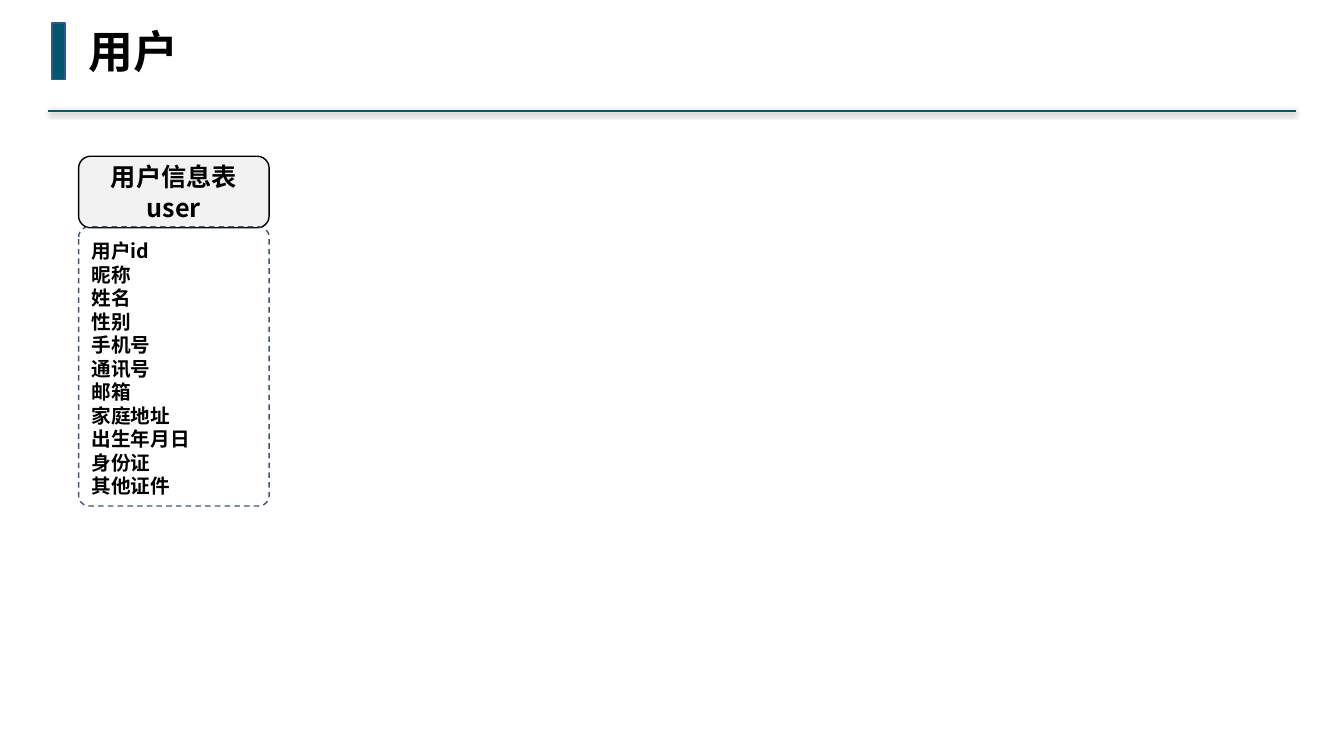
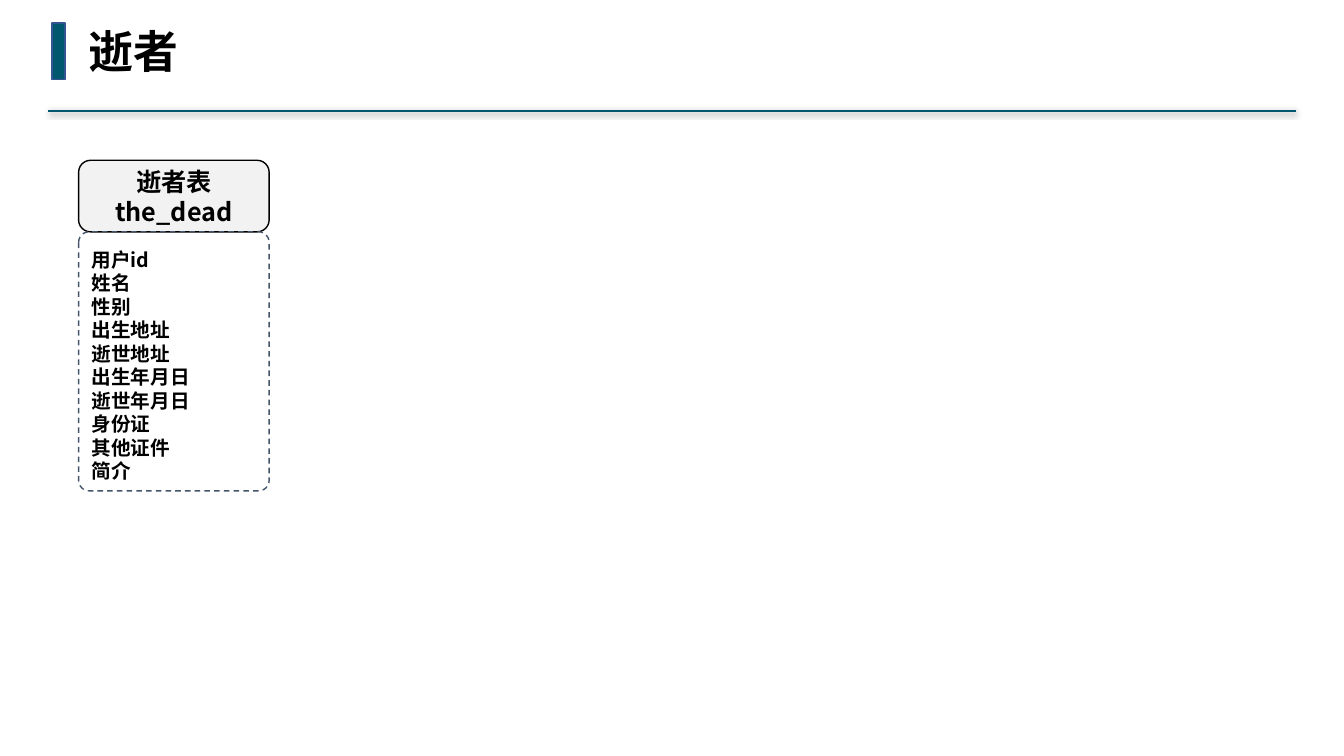
import pptx
import pptx.util
import pptx.dml.color
import pptx.enum.dml
import pptx.enum.shapes
import pptx.enum.text
import pptx.oxml
import pptx.oxml.ns

Pt = pptx.util.Pt
RGBColor = pptx.dml.color.RGBColor
SHAPE = pptx.enum.shapes.MSO_SHAPE
ANCHOR = pptx.enum.text.MSO_ANCHOR
ALIGN = pptx.enum.text.PP_ALIGN

TEAL = RGBColor(0x00, 0x57, 0x6E)
BLUE = RGBColor(0x32, 0x54, 0x91)
SLATE = RGBColor(0x44, 0x54, 0x6A)
GREY = RGBColor(0xF2, 0xF2, 0xF2)
BLACK = RGBColor(0, 0, 0)
CJK = "Noto Sans CJK SC"
LEFT, CARD_W, HEAD_H = 56.16, 136.08, 51.12

RULE_SHADOW = (
    '<a:effectLst xmlns:a="http://schemas.openxmlformats.org/drawingml/2006/main">'
    '<a:outerShdw blurRad="50800" dist="12700" dir="5400000" rotWithShape="0">'
    '<a:srgbClr val="000000"><a:alpha val="40000"/></a:srgbClr>'
    '</a:outerShdw></a:effectLst>'
)

SLIDES = [
    ("用户", ["用户信息表", "user"], 111.6, 162, 199.44,
     ["用户id", "昵称", "姓名", "性别", "手机号", "通讯号", "邮箱",
      "家庭地址", "出生年月日", "身份证", "其他证件"]),
    ("逝者", ["逝者表", "the_dead"], 114.48, 165.6, 185.04,
     ["用户id", "姓名", "性别", "出生地址", "逝世地址", "出生年月日",
      "逝世年月日", "身份证", "其他证件", "简介"]),
]


def add_box(s, kind, left, top, width, height, fill, line):
    sp = s.shapes.add_shape(kind, Pt(left), Pt(top), Pt(width), Pt(height))
    sp.shadow.inherit = False
    if fill is None:
        sp.fill.background()
    else:
        sp.fill.solid()
        sp.fill.fore_color.rgb = fill
    sp.line.color.rgb = line
    sp.line.width = Pt(1)
    return sp


def set_text(tf, lines, size, font, align, anchor):
    tf.text = "\n".join(lines)
    tf.vertical_anchor = anchor
    for p in tf.paragraphs:
        p.alignment = align
        p.line_spacing = 1.0
        for r in p.runs:
            r.font.name = font
            r.font.size = Pt(size)
            r.font.bold = True
            r.font.color.rgb = BLACK
            ea = pptx.oxml.parse_xml(
                '<a:ea xmlns:a="http://schemas.openxmlformats.org/drawingml/2006/main"'
                f' typeface="{CJK}"/>')
            r.font._element.find(pptx.oxml.ns.qn("a:latin")).addnext(ea)


prs = pptx.Presentation()
prs.slide_width, prs.slide_height = Pt(960), Pt(540)

for title, heading, head_top, list_top, list_h, fields in SLIDES:
    s = prs.slides.add_slide(prs.slide_layouts[5])

    rule = s.shapes.add_connector(
        pptx.enum.shapes.MSO_CONNECTOR.STRAIGHT, Pt(925.92), Pt(79.4), Pt(34.2), Pt(79.4))
    rule.line.color.rgb = TEAL
    rule.line.width = Pt(1.5)
    rule._element.spPr.append(pptx.oxml.parse_xml(RULE_SHADOW))

    add_box(s, SHAPE.RECTANGLE, 37.1, 16.4, 9.36, 40.32, TEAL, BLUE)

    sp = s.shapes.title
    sp.left, sp.top, sp.width, sp.height = Pt(LEFT), Pt(13.2), Pt(79.2), Pt(46.08)
    set_text(sp.text_frame, [title], 32, "Courier New", ALIGN.LEFT, ANCHOR.TOP)
    sp.text_frame.word_wrap = False
    sp.text_frame.auto_size = pptx.enum.text.MSO_AUTO_SIZE.NONE

    head = add_box(s, SHAPE.ROUNDED_RECTANGLE, LEFT, head_top, CARD_W, HEAD_H, GREY, BLACK)
    tf = head.text_frame
    tf.margin_left = tf.margin_right = tf.margin_top = tf.margin_bottom = Pt(2.88)
    set_text(tf, heading, 18, CJK, ALIGN.CENTER, ANCHOR.MIDDLE)
    tf.word_wrap = False

    field_list = add_box(
        s, SHAPE.ROUNDED_RECTANGLE, LEFT, list_top, CARD_W, list_h, None, SLATE)
    field_list.adjustments[0] = 0.055
    field_list.line.dash_style = pptx.enum.dml.MSO_LINE.DASH
    set_text(field_list.text_frame, fields, 14, CJK, ALIGN.LEFT, ANCHOR.BOTTOM)
    field_list.text_frame.word_wrap = True

prs.save("out.pptx")
